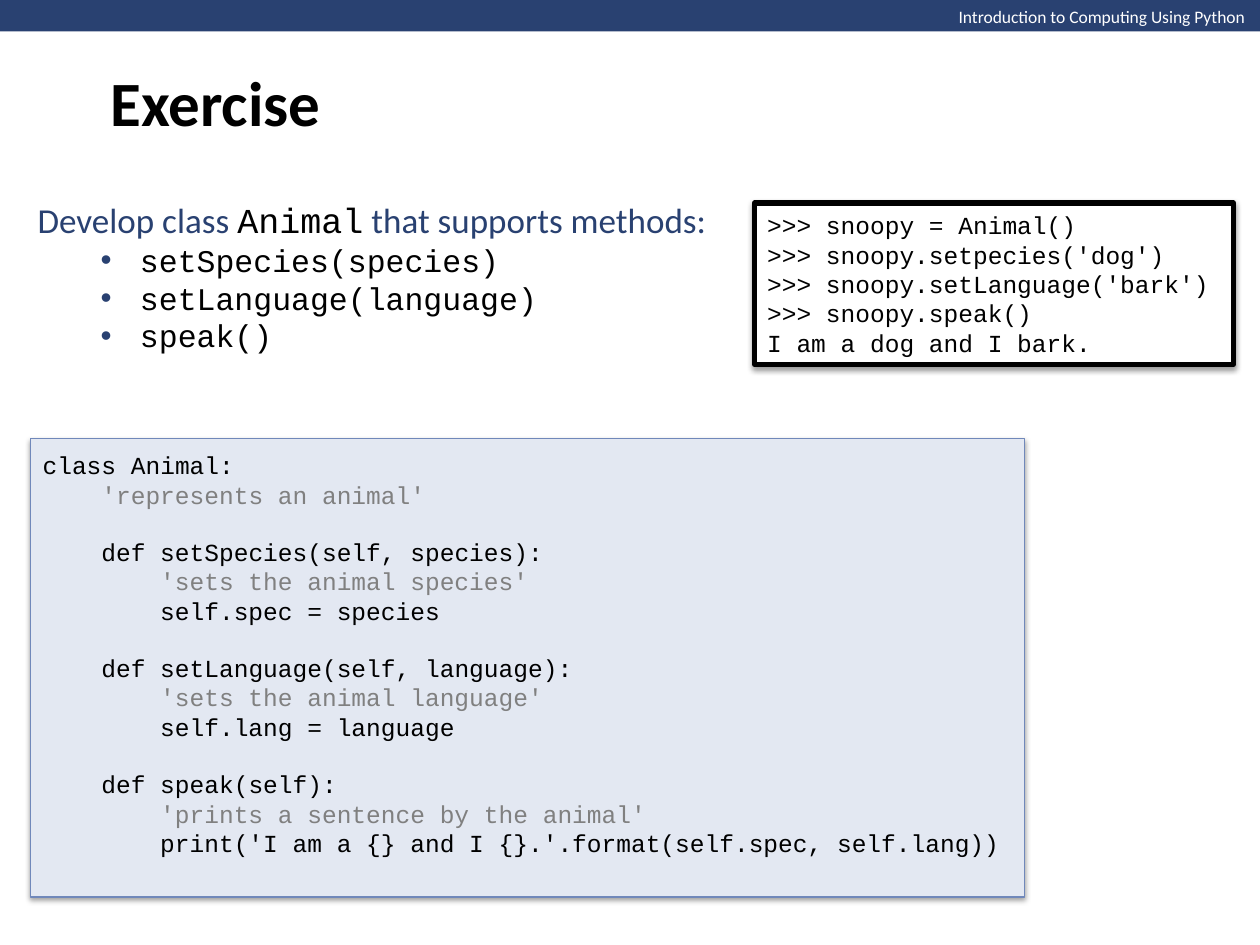
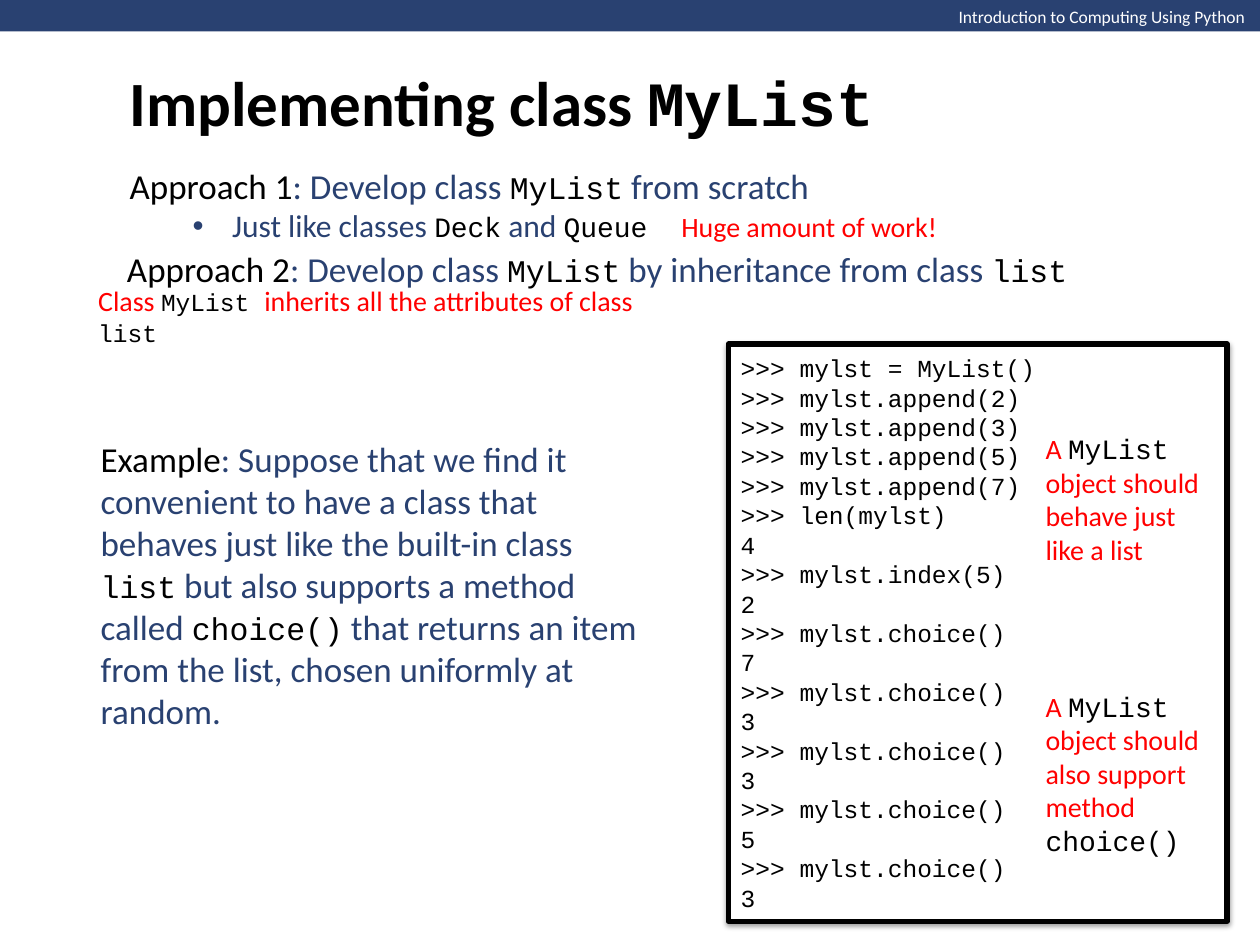
from lxml.etree import SubElement
from pptx import Presentation
from pptx.dml.color import RGBColor
from pptx.enum.shapes import MSO_SHAPE
from pptx.enum.text import MSO_ANCHOR, MSO_AUTO_SIZE
from pptx.oxml.ns import qn
from pptx.util import Pt

NAVY = RGBColor(0x29, 0x41, 0x71)
BLACK = RGBColor(0, 0, 0)
WHITE = RGBColor(255, 255, 255)
RED = RGBColor(255, 0, 0)
GREY = RGBColor(0x80, 0x80, 0x80)
PALE_BLUE = RGBColor(0xE3, 0xE8, 0xF2)
EDGE_BLUE = RGBColor(0x70, 0x88, 0xBA)

STYLES = {
    "body": ("Calibri", NAVY),
    "term": ("Calibri", BLACK),
    "alert": ("Calibri", RED),
    "banner": ("Calibri", WHITE),
    "code": ("Courier New", BLACK),
    "docstring": ("Courier New", GREY),
}

CODE_SIZE = 14
CHARACTER_WIDTH = 0.6 * CODE_SIZE
LINE_HEIGHT = 1.133 * CODE_SIZE
BULLET_INDENT = 58.5
BULLET_HANG = 22.5
TITLE_RIGHT = 684

BANNER = "Introduction to Computing Using Python"

ANIMAL_SESSION = """\
>>> snoopy = Animal()
>>> snoopy.setpecies('dog')
>>> snoopy.setLanguage('bark')
>>> snoopy.speak()
I am a dog and I bark."""

ANIMAL_CLASS = """\
class Animal:
    'represents an animal'

    def setSpecies(self, species):
        'sets the animal species'
        self.spec = species

    def setLanguage(self, language):
        'sets the animal language'
        self.lang = language

    def speak(self):
        'prints a sentence by the animal'
        print('I am a {} and I {}.'.format(self.spec, self.lang))"""

LIST_SESSION = """\
>>> mylst = MyList()
>>> mylst.append(2)
>>> mylst.append(3)
>>> mylst.append(5)
>>> mylst.append(7)
>>> len(mylst)
4
>>> mylst.index(5)
2
>>> mylst.choice()
7
>>> mylst.choice()
3
>>> mylst.choice()
3
>>> mylst.choice()
5
>>> mylst.choice()
3"""

METHODS = ["setSpecies(species)", "setLanguage(language)", "speak()"]

EXERCISE = {
    "title": (56, [("Exercise", "term", 36)]),
    "texts": [
        ((14.4, 109.4, 417, 97.2), True, [
            {"spans": [("Develop class ", "body", 20), ("Animal", "code", 20),
                       (" that supports methods:", "body", 20)]},
            *({"spans": [(method, "code", 18)], "bullet": True}
              for method in METHODS),
        ]),
    ],
    "code": [
        ((431.3, 116, 273.6, 92.2), ANIMAL_SESSION, "session"),
        ((17.3, 250.6, 568, 262), ANIMAL_CLASS, "listing"),
    ],
}

MY_LIST = {
    "title": (67, [("Implementing class ", "term", 36), ("MyList", "code", 36)]),
    "code": [((416.2, 196.6, 285, 329.8), LIST_SESSION, "session")],
    "texts": [
        ((50.4, 245.5, 325.4, 177), True, [
            {"spans": [
                ("Example", "term", 20),
                (": Suppose that we find it convenient to have a class that "
                 "behaves just like the built-in class ", "body", 20),
                ("list", "code", 18),
                (" but also supports a method called ", "body", 20),
                ("choice()", "code", 18),
                (" that returns an item from the list, chosen uniformly at "
                 "random.", "body", 20)]},
        ]),
        ((590.4, 242.6, 111, 85), True, [
            {"spans": [("A ", "alert", 16), ("MyList", "code", 16),
                       (" object should behave just like a list", "alert", 16)]},
        ]),
        ((590.4, 389.5, 111, 104.4), True, [
            {"spans": [("A ", "alert", 16), ("MyList", "code", 16),
                       (" object should also support method ", "alert", 16),
                       ("choice()", "code", 16)]},
        ]),
        ((67, 90, 406, 53.3), False, [
            {"spans": [("Approach 1", "term", 20), (": Develop class ", "body", 20),
                       ("MyList", "code", 18), (" from scratch", "body", 20)]},
            {"spans": [("Just like classes ", "body", 18), ("Deck", "code", 16),
                       (" and ", "body", 18), ("Queue", "code", 16)],
             "bullet": True},
        ]),
        ((65.5, 137.5, 557.3, 31.7), False, [
            {"spans": [("Approach 2", "term", 20), (": Develop class ", "body", 20),
                       ("MyList", "code", 18),
                       (" by inheritance from class ", "body", 20),
                       ("list", "code", 18)]},
        ]),
        ((382.3, 116, 162.7, 26.6), False, [
            {"spans": [("Huge amount of work!", "alert", 16)]},
        ]),
        ((49, 167, 356.4, 26.6), False, [
            {"spans": [("Class ", "alert", 16), ("MyList ", "code", 14),
                       ("inherits all the attributes of class ", "alert", 16),
                       ("list", "code", 14)]},
        ]),
    ],
}

CODE_BOXES = {
    "session": {"fill": WHITE, "edge": BLACK, "weight": 3, "bottom": 3.6},
    "listing": {"fill": PALE_BLUE, "edge": EDGE_BLUE, "weight": 0.75,
                "bottom": 3.6 + LINE_HEIGHT},
}


def add_bullet(properties):
    properties.set("indent", str(-Pt(BULLET_HANG)))
    color = SubElement(properties, qn("a:buClr"))
    SubElement(color, qn("a:srgbClr"), val=str(NAVY))
    SubElement(properties, qn("a:buFont"), typeface="Arial")
    SubElement(properties, qn("a:buChar"), char="•")


def write(shape, paragraphs, wrap=True, anchor=MSO_ANCHOR.MIDDLE, bold=False,
          grow=True, bottom=3.6):
    frame = shape.text_frame
    frame.word_wrap = wrap
    frame.vertical_anchor = anchor
    frame.auto_size = MSO_AUTO_SIZE.SHAPE_TO_FIT_TEXT if grow else MSO_AUTO_SIZE.NONE
    frame.margin_bottom = Pt(bottom)
    for index, content in enumerate(paragraphs):
        para = frame.add_paragraph() if index else frame.paragraphs[0]
        para.alignment = 1
        para.space_before = Pt(content.get("gap", 0))
        bullet = content.get("bullet", False)
        indent = BULLET_INDENT if bullet else content.get("indent", 0)
        properties = para._p.get_or_add_pPr()
        properties.set("marL", str(Pt(indent)))
        if bullet:
            add_bullet(properties)
        for text, style, size in content["spans"]:
            span = para.add_run()
            span.text = text
            span.font.name, span.font.color.rgb = STYLES[style]
            span.font.size = Pt(size)
            span.font.bold = bold


def add_text(page, place, paragraphs, **format):
    box = page.shapes.add_textbox(*map(Pt, place))
    write(box, paragraphs, **format)


def add_rectangle(page, place, fill, edge=None, weight=0):
    box = page.shapes.add_shape(MSO_SHAPE.RECTANGLE, *map(Pt, place))
    box.shadow.inherit = False
    box.fill.solid()
    box.fill.fore_color.rgb = fill
    if edge is None:
        box.line.fill.background()
    else:
        box.line.color.rgb = edge
        box.line.width = Pt(weight)
    return box


def add_shadow(box):
    effects = box._element.spPr.find(qn("a:effectLst"))
    shadow = SubElement(effects, qn("a:outerShdw"), blurRad=str(Pt(3.1)),
                        dist=str(Pt(1.6)), dir="5400000", rotWithShape="0")
    color = SubElement(shadow, qn("a:srgbClr"), val=str(BLACK))
    SubElement(color, qn("a:alpha"), val="38000")


def code_paragraphs(source):
    paragraphs = []
    gap = 0
    for line in source.splitlines():
        text = line.lstrip()
        if not text:
            gap = LINE_HEIGHT
            continue
        style = "docstring" if text.startswith("'") else "code"
        indent = (len(line) - len(text)) * CHARACTER_WIDTH
        paragraphs.append({"spans": [(text, style, CODE_SIZE)],
                           "indent": indent, "gap": gap})
        gap = 0
    return paragraphs


def add_code(page, place, source, kind):
    look = CODE_BOXES[kind]
    box = add_rectangle(page, place, look["fill"], look["edge"], look["weight"])
    add_shadow(box)
    write(box, code_paragraphs(source), bottom=look["bottom"])


def add_page(deck, content):
    page = deck.slides.add_slide(deck.slide_layouts[6])
    add_rectangle(page, (0, 0, 720, 18), NAVY)
    add_text(page, (540.7, 0, 180, 19.4), [{"spans": [(BANNER, "banner", 10)]}],
             wrap=False, anchor=MSO_ANCHOR.TOP)
    left, spans = content["title"]
    add_text(page, (left, 0, TITLE_RIGHT - left, 116), [{"spans": spans}],
             bold=True, grow=False)
    for place, source, kind in content["code"]:
        add_code(page, place, source, kind)
    for place, wrap, paragraphs in content["texts"]:
        add_text(page, place, paragraphs, wrap=wrap)


def main():
    deck = Presentation()
    deck.slide_width, deck.slide_height = Pt(720), Pt(540)
    for content in (EXERCISE, MY_LIST):
        add_page(deck, content)
    deck.save("out.pptx")


if __name__ == "__main__":
    main()
